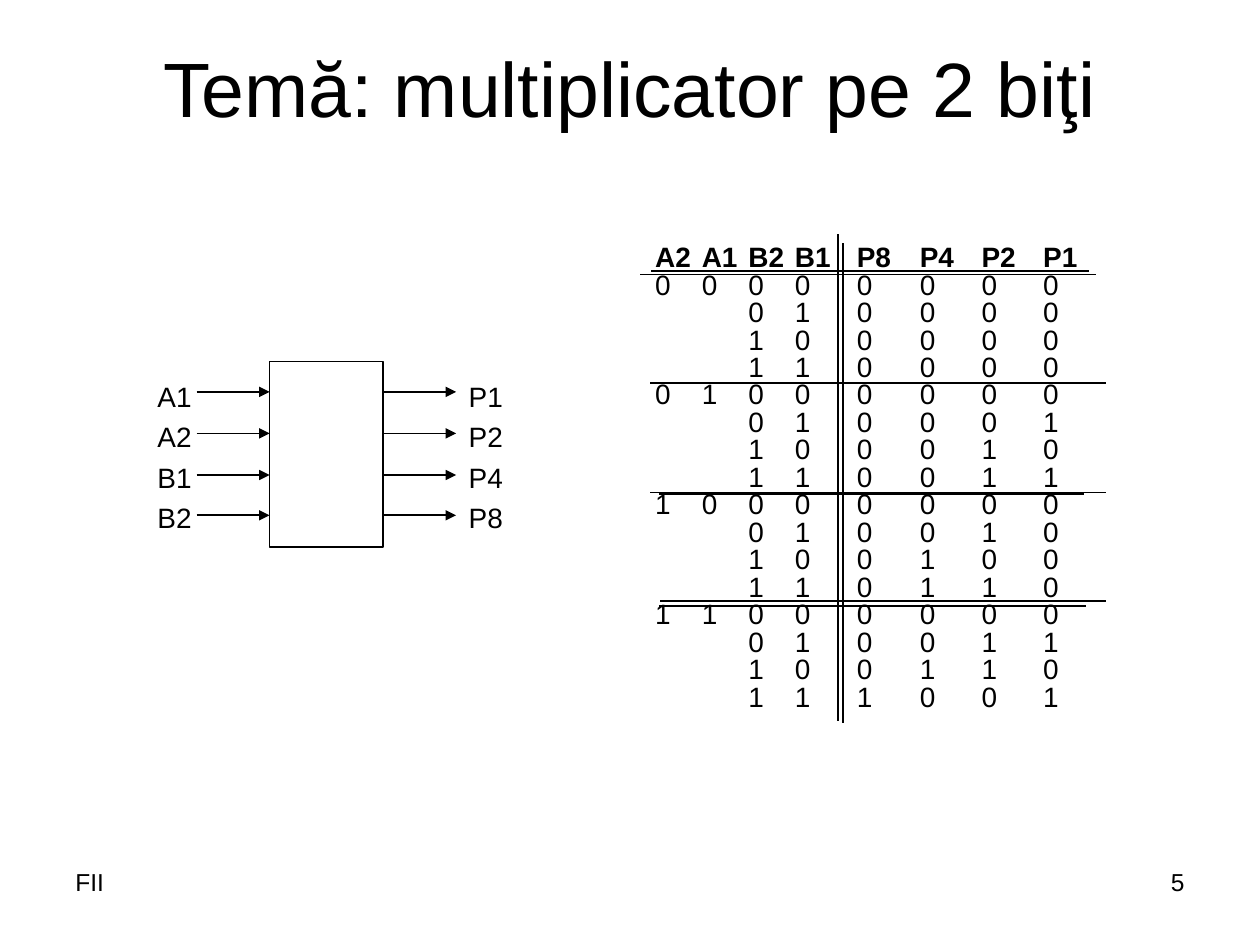
from dataclasses import dataclass

from lxml import etree
from pptx import Presentation
from pptx.dml.color import RGBColor
from pptx.enum.shapes import MSO_CONNECTOR, MSO_SHAPE
from pptx.enum.text import MSO_ANCHOR, PP_ALIGN
from pptx.oxml.ns import qn
from pptx.util import Inches, Pt

LEFT, CENTER, RIGHT = PP_ALIGN.LEFT, PP_ALIGN.CENTER, PP_ALIGN.RIGHT
TOP, MIDDLE = MSO_ANCHOR.TOP, MSO_ANCHOR.MIDDLE
STRAIGHT, RECT = MSO_CONNECTOR.STRAIGHT, MSO_SHAPE.RECTANGLE


@dataclass(frozen=True)
class Theme:
    ink: RGBColor = RGBColor(0, 0, 0)
    font: str = "Arial"
    title: int = 44
    body: int = 16
    foot: int = 14
    thin: float = 0.75
    rule: float = 1


theme = Theme()
deck = Presentation()
deck.slide_width, deck.slide_height = Inches(10), Inches(7.5)
slide = deck.slides.add_slide(deck.slide_layouts[6])


def write(text, x, y, w, h, size=theme.body, align=LEFT, anchor=TOP,
          pad=(0.02, 0.03), space=None, tabs=(), head=False):
    """Add a text box, one paragraph a line; head makes the first line bold."""
    box = slide.shapes.add_textbox(Inches(x), Inches(y), Inches(w), Inches(h))
    frame = box.text_frame
    frame.word_wrap = True
    frame.vertical_anchor = anchor
    frame.margin_left = frame.margin_right = Inches(pad[0])
    frame.margin_top = frame.margin_bottom = Inches(pad[1])
    for i, line in enumerate(text.split("\n")):
        para = frame.add_paragraph() if i else frame.paragraphs[0]
        para.alignment = align
        if space:
            para.line_spacing = space
        if tabs:
            stops = etree.SubElement(para._p.get_or_add_pPr(), qn("a:tabLst"))
            for tab in tabs:
                etree.SubElement(stops, qn("a:tab"), pos=str(Inches(tab)), algn="l")
        run = para.add_run()
        run.text = line
        run.font.name, run.font.size = theme.font, Pt(size)
        run.font.bold = head and i == 0
        run.font.color.rgb = theme.ink


def draw(x1, y1, x2, y2, width=theme.rule, arrow=False):
    line = slide.shapes.add_connector(
        STRAIGHT, Inches(x1), Inches(y1), Inches(x2), Inches(y2))
    line.line.color.rgb = theme.ink
    line.line.width = Pt(width)
    if arrow:
        etree.SubElement(line.line._get_or_add_ln(), qn("a:tailEnd"), type="triangle")
    etree.SubElement(line._element.spPr, qn("a:effectLst"))


# Rules of the truth table
draw(6.69, 1.93, 6.69, 5.74)
for x1, x2, y in [(5.17, 8.64, 2.15), (5.17, 8.64, 3.04),
                  (5.23, 8.6, 3.92), (5.23, 8.62, 4.81)]:
    draw(x1, y, x2, y)

# Truth table: A times B, with A shown once for each group of four rows
rows = ["A2 A1 B2 B1 P8 P4 P2 P1".split()]
for a in range(4):
    for b in range(4):
        left = ["", ""] if b else list(f"{a:02b}")
        rows.append(left + list(f"{b:02b}{a * b:04b}"))
write("\n".join("\t".join(row) for row in rows), 5.18, 1.92, 3.53, 4.09,
      space=Pt(15.7), tabs=(0.37, 0.74, 1.11, 1.6, 2.1, 2.59, 3.08), head=True)

write("Temă: multiplicator pe 2 biţi", 0.5, 0.3, 9, 0.77, size=theme.title,
      align=CENTER, anchor=MIDDLE, pad=(0.1, 0.05))

# Multiplier block with its inputs and outputs
block = slide.shapes.add_shape(
    RECT, Inches(2.14), Inches(2.87), Inches(0.9), Inches(1.47))
block.shadow.inherit = False
block.fill.background()
block.line.color.rgb = theme.ink
block.line.width = Pt(theme.rule)
for names, x, start in [("A1\nA2\nB1\nB2", 1.23, 1.56),
                        ("P1\nP2\nP4\nP8", 3.7, 3.04)]:
    write(names, x, 2.93, 0.33, 1.32, space=1.2)
    for y in (3.11, 3.44, 3.77, 4.09):
        draw(start, y, start + 0.58, y, arrow=True)

# Thin second rules of the table
draw(6.65, 1.86, 6.65, 5.72, theme.thin)
for x1, x2, y in [(5.08, 8.7, 2.18), (5.16, 8.78, 3.04),
                  (5.16, 8.78, 3.91), (5.24, 8.78, 4.77)]:
    draw(x1, y, x2, y, theme.thin)

# Footer
for text, x, align in [("5", 7.17, RIGHT), ("FII", 0.5, LEFT)]:
    write(text, x, 6.83, 2.33, 0.52, size=theme.foot, align=align, pad=(0.1, 0.05))

deck.save("out.pptx")
